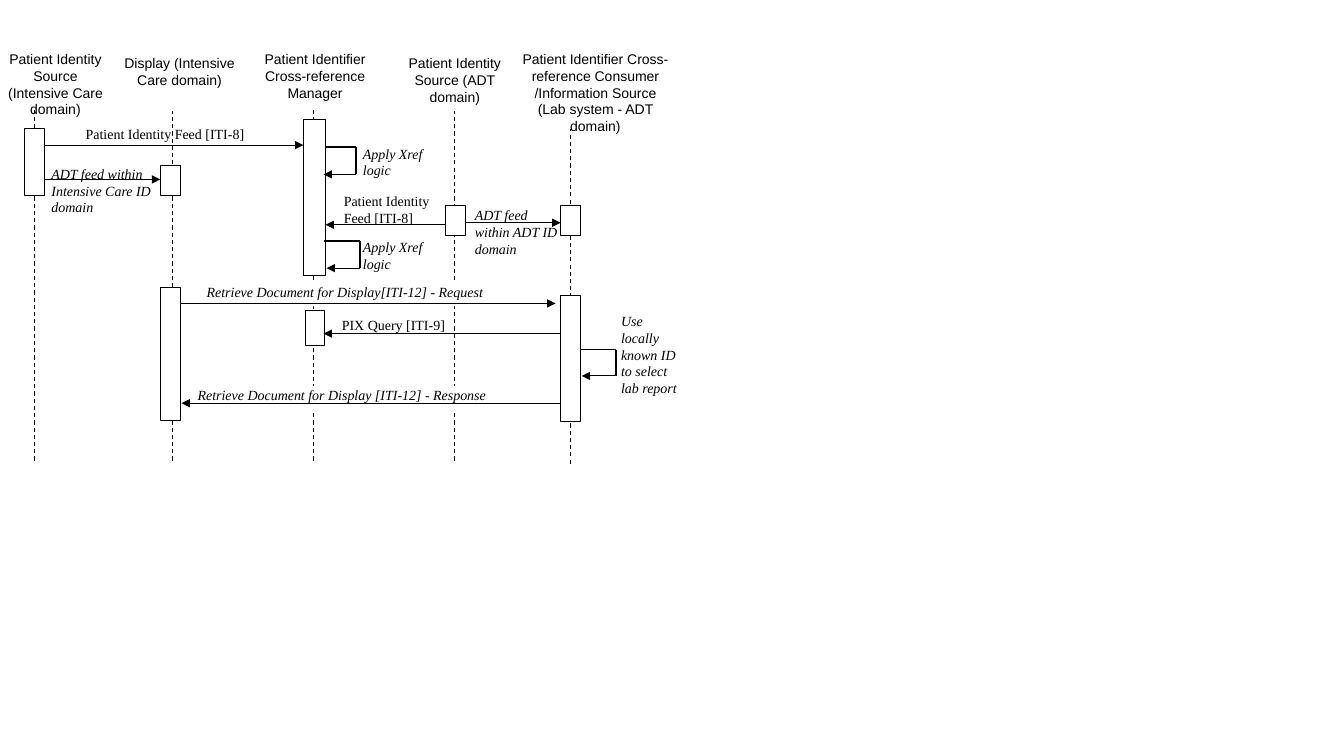
from dataclasses import dataclass

from lxml.etree import SubElement
from pptx import Presentation
from pptx.dml.color import RGBColor
from pptx.enum.dml import MSO_LINE
from pptx.enum.shapes import MSO_CONNECTOR, MSO_SHAPE
from pptx.enum.text import MSO_ANCHOR, PP_ALIGN
from pptx.oxml.ns import qn
from pptx.slide import Slide
from pptx.util import Inches, Pt

BLACK, WHITE = "000000", "FFFFFF"
LIFELINE_BOTTOM = 4.57
BAR_WIDTH = 0.2


@dataclass
class Box:
    left: float
    top: float
    width: float
    height: float


@dataclass
class Participant:
    name: str
    label: Box
    lifeline_x: float
    lifeline_top: float
    fill: str | None = WHITE
    lifeline_bottom: float = LIFELINE_BOTTOM


@dataclass
class Message:
    text: str
    label: Box
    start_x: float
    end_x: float
    y: float
    italic: bool = False
    fill: str | None = None


@dataclass
class SelfCall:
    text: str
    label: Box
    bar_x: float
    tip_x: float
    outer_x: float
    top: float
    bottom: float


PARTICIPANTS = [
    Participant("Patient Identity Source (Intensive Care domain)",
                Box(0.03, 0.5, 1.04, 0.57), 0.34, 1.07),
    Participant("Display (Intensive Care domain)", Box(1.19, 0.54, 1.18, 0.56), 1.71, 1.1),
    Participant("Patient Identifier Cross-reference Manager",
                Box(2.53, 0.5, 1.19, 0.48), 3.11, 1.07),
    Participant("Patient Identity Source (ADT domain)", Box(3.92, 0.54, 1.18, 0.53), 4.51, 1.1),
    Participant("Patient Identifier Cross-reference Consumer /Information Source "
                "(Lab system - ADT domain)",
                Box(5.18, 0.5, 1.45, 0.91), 5.66, 1.28, None, 4.6),
]

ACTIVATIONS = [
    Box(0.24, 1.28, BAR_WIDTH, 0.66),
    Box(1.59, 1.64, BAR_WIDTH, 0.3),
    Box(1.59, 2.85, BAR_WIDTH, 1.32),
    Box(3.01, 1.19, 0.22, 1.54),
    Box(3.03, 3.08, 0.19, 0.35),
    Box(4.42, 2.04, BAR_WIDTH, 0.3),
    Box(5.56, 2.04, BAR_WIDTH, 0.3),
    Box(5.56, 2.93, BAR_WIDTH, 1.25),
]

MESSAGES = [
    Message("Patient Identity Feed [ITI-8]", Box(0.85, 1.25, 1.75, 0.24), 0.44, 3.01, 1.44),
    Message("ADT feed within Intensive Care ID domain",
            Box(0.51, 1.64, 1.08, 0.49), 0.44, 1.59, 1.78, italic=True),
    Message("Patient Identity\nFeed [ITI-8]", Box(3.41, 1.91, 0.9, 0.36), 4.42, 3.23, 2.23),
    Message("ADT feed within ADT ID domain",
            Box(4.71, 2.05, 0.82, 0.64), 4.62, 5.56, 2.21, italic=True),
    Message("Retrieve Document for Display[ITI-12] - Request",
            Box(2.05, 2.81, 2.86, 0.23), 1.8, 5.51, 3.01, italic=True, fill=WHITE),
    Message("PIX Query [ITI-9]", Box(3.39, 3.14, 1.12, 0.17), 5.56, 3.21, 3.31),
    Message("Retrieve Document for Display [ITI-12] - Response",
            Box(1.96, 3.83, 2.99, 0.26), 5.56, 1.8, 4.0, italic=True, fill=WHITE),
]

SELF_CALLS = [
    SelfCall("Apply Xref logic", Box(3.6, 1.44, 0.86, 0.33), 3.22, 3.21, 3.53, 1.46, 1.73),
    SelfCall("Apply Xref logic", Box(3.6, 2.37, 0.86, 0.33), 3.21, 3.24, 3.57, 2.39, 2.66),
    SelfCall("Use locally known ID to select lab report",
             Box(6.16, 3.1, 0.61, 0.97), 5.75, 5.77, 6.11, 3.47, 3.73),
]


def color(value: str) -> RGBColor:
    return RGBColor.from_string(value)


def place(box: Box) -> tuple:
    return Inches(box.left), Inches(box.top), Inches(box.width), Inches(box.height)


def add_label(slide: Slide, text: str, box: Box, *, font: str = "Times New Roman",
              italic: bool = False, align: PP_ALIGN = PP_ALIGN.LEFT,
              fill: str | None = None) -> None:
    shape = slide.shapes.add_textbox(*place(box))
    if fill:
        shape.fill.solid()
        shape.fill.fore_color.rgb = color(fill)
    frame = shape.text_frame
    frame.word_wrap = True
    frame.vertical_anchor = MSO_ANCHOR.TOP
    frame.margin_left = frame.margin_right = frame.margin_top = frame.margin_bottom = 0
    frame.text = text
    for paragraph in frame.paragraphs:
        paragraph.alignment = align
        for run in paragraph.runs:
            run.font.name = font
            run.font.size = Pt(10)
            run.font.italic = italic
            run.font.color.rgb = color(BLACK)


def add_line(slide: Slide, start: tuple[float, float], end: tuple[float, float], *,
             width: float = 0.75, dashed: bool = False, arrow: bool = False) -> None:
    points = [Inches(value) for value in (*start, *end)]
    connector = slide.shapes.add_connector(MSO_CONNECTOR.STRAIGHT, *points)
    connector.line.color.rgb = color(BLACK)
    connector.line.width = Pt(width)
    if dashed:
        connector.line.dash_style = MSO_LINE.DASH
    if arrow:
        SubElement(connector.line._get_or_add_ln(), qn("a:tailEnd"), type="triangle")
    SubElement(connector._element.spPr, qn("a:effectLst"))


def add_activation(slide: Slide, box: Box) -> None:
    shape = slide.shapes.add_shape(MSO_SHAPE.RECTANGLE, *place(box))
    shape.shadow.inherit = False
    shape.fill.solid()
    shape.fill.fore_color.rgb = color(WHITE)
    shape.line.color.rgb = color(BLACK)
    shape.line.width = Pt(0.75)


def add_self_call(slide: Slide, call: SelfCall) -> None:
    add_label(slide, call.text, call.label, italic=True)
    upper, lower = (call.outer_x, call.top), (call.outer_x, call.bottom)
    add_line(slide, upper, (call.bar_x, call.top), width=1)
    add_line(slide, upper, lower, width=1)
    add_line(slide, lower, (call.tip_x, call.bottom), arrow=True)


def main() -> None:
    presentation = Presentation()
    presentation.slide_width = Inches(13.33)
    presentation.slide_height = Inches(7.5)
    slide = presentation.slides.add_slide(presentation.slide_layouts[6])

    # Participants and their lifelines
    for participant in PARTICIPANTS:
        x = participant.lifeline_x
        add_line(slide, (x, participant.lifeline_bottom), (x, participant.lifeline_top),
                 dashed=True)
        add_label(slide, participant.name, participant.label, font="Arial",
                  align=PP_ALIGN.CENTER, fill=participant.fill)

    # Activation bars
    for activation in ACTIVATIONS:
        add_activation(slide, activation)

    # Messages between participants
    for message in MESSAGES:
        add_label(slide, message.text, message.label, italic=message.italic, fill=message.fill)
        add_line(slide, (message.start_x, message.y), (message.end_x, message.y), arrow=True)

    # Internal processing loops
    for call in SELF_CALLS:
        add_self_call(slide, call)

    presentation.save("out.pptx")


if __name__ == "__main__":
    main()
